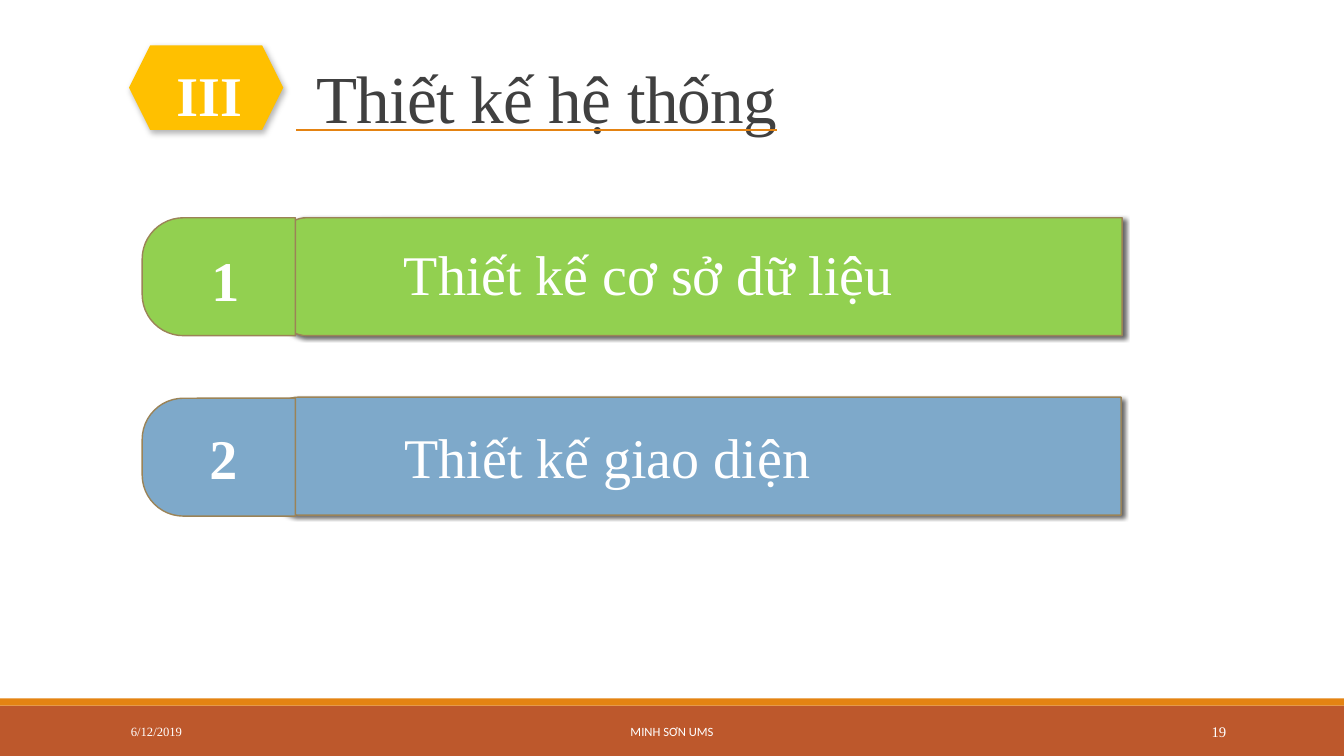
"""Build the section slide on system design with its two numbered topics."""
from dataclasses import dataclass

import pptx
import pptx.dml.color
import pptx.enum.shapes
import pptx.enum.text
import pptx.oxml
import pptx.oxml.ns
import pptx.presentation
import pptx.shapes.autoshape
import pptx.slide
import pptx.util

Inches = pptx.util.Inches
Pt = pptx.util.Pt
Shapes = pptx.enum.shapes.MSO_SHAPE
Align = pptx.enum.text.PP_ALIGN
Anchor = pptx.enum.text.MSO_ANCHOR

SERIF = "Times New Roman"
WHITE = "FFFFFF"
ORANGE = "E48312"
RUST = "BD582C"
GOLD = "FFC000"
OUTLINE = "9B8357"


@dataclass(frozen=True)
class Box:
    left: float
    top: float
    width: float
    height: float

    def lengths(self) -> list[pptx.util.Length]:
        return [Inches(v) for v in (self.left, self.top, self.width, self.height)]

    def turned(self) -> "Box":
        return Box(self.left + (self.width - self.height) / 2,
                   self.top + (self.height - self.width) / 2,
                   self.height, self.width)


@dataclass(frozen=True)
class Shadow:
    opacity: int
    blur: float
    distance: float
    angle: int


@dataclass(frozen=True)
class Label:
    text: str
    box: Box
    size: float = 40
    font: str = SERIF
    color: str = WHITE
    bold: bool = False
    align: Align = Align.CENTER
    anchor: Anchor = Anchor.MIDDLE
    grows: bool = False


@dataclass(frozen=True)
class Topic:
    color: str
    bar: Box
    tab: Box
    number: Label
    caption: Label


BAR_SHADOW = Shadow(60, 3, 2, 45)
BADGE_SHADOW = Shadow(30, 4.5, 2.6, 53)

TOPICS = [
    Topic("92D050", Box(2.77, 2.16, 8.36, 1.17), Box(1.41, 2.16, 1.52, 1.17),
          Label("1", Box(1.85, 2.38, 0.77, 0.77), bold=True, grows=True),
          Label("Thiết kế cơ sở dữ liệu", Box(2.54, 2.33, 7.78, 0.77),
                anchor=Anchor.TOP, grows=True)),
    Topic("7EA9CA", Box(2.69, 3.94, 8.43, 1.17), Box(1.41, 3.95, 1.52, 1.17),
          Label("2", Box(1.83, 4.15, 0.77, 0.77), bold=True, grows=True),
          Label("Thiết kế giao diện", Box(2.14, 4.14, 7.77, 0.77),
                anchor=Anchor.TOP, grows=True)),
]

FOOTER = [
    Label("6/12/2019", Box(1.2, 7.06, 2.7, 0.4), 9, align=Align.LEFT),
    Label("MINH SƠN UMS", Box(4.03, 7.06, 5.27, 0.4), 9, "Calibri"),
    Label("19", Box(10.83, 7.06, 1.43, 0.4), 10.5, align=Align.RIGHT),
]


def rgb(value: str) -> pptx.dml.color.RGBColor:
    return pptx.dml.color.RGBColor.from_string(value)


def add_shadow(shape: pptx.shapes.autoshape.Shape, shadow: Shadow) -> None:
    effects = shape.element.spPr.find(pptx.oxml.ns.qn("a:effectLst"))
    effects.append(pptx.oxml.parse_xml(
        f'<a:outerShdw {pptx.oxml.ns.nsdecls("a")} blurRad="{Pt(shadow.blur)}" '
        f'dist="{Pt(shadow.distance)}" dir="{shadow.angle * 60000}" '
        'algn="ctr" rotWithShape="0"><a:srgbClr val="000000">'
        f'<a:alpha val="{shadow.opacity * 1000}"/></a:srgbClr></a:outerShdw>'))


def add_block(slide: pptx.slide.Slide, kind: Shapes, box: Box, color: str,
              outline: str | None = None,
              shadow: Shadow | None = None) -> pptx.shapes.autoshape.Shape:
    block = slide.shapes.add_shape(kind, *box.lengths())
    block.shadow.inherit = False
    block.fill.solid()
    block.fill.fore_color.rgb = rgb(color)
    if outline:
        block.line.color.rgb = rgb(outline)
        block.line.width = Pt(1)
    else:
        block.line.fill.background()
    if shadow:
        add_shadow(block, shadow)
    return block


def add_left_rounded(slide: pptx.slide.Slide, box: Box, color: str,
                     rounding: float, shadow: Shadow | None = None) -> None:
    block = add_block(slide, Shapes.ROUND_2_SAME_RECTANGLE, box.turned(),
                      color, OUTLINE, shadow)
    block.rotation = 270
    block.adjustments[0] = rounding
    block.adjustments[1] = 0


def add_label(slide: pptx.slide.Slide, label: Label) -> pptx.shapes.autoshape.Shape:
    holder = slide.shapes.add_textbox(*label.box.lengths())
    frame = holder.text_frame
    frame.word_wrap = True
    frame.vertical_anchor = label.anchor
    if label.grows:
        frame.auto_size = pptx.enum.text.MSO_AUTO_SIZE.SHAPE_TO_FIT_TEXT
    frame.text = label.text
    paragraph = frame.paragraphs[0]
    paragraph.alignment = label.align
    font = paragraph.runs[0].font
    font.name = label.font
    font.size = Pt(label.size)
    font.bold = label.bold
    font.color.rgb = rgb(label.color)
    return holder


def add_title(slide: pptx.slide.Slide) -> None:
    title = add_label(slide, Label("Thiết kế hệ thống", Box(1.26, 0.3, 11, 1.11), 48,
                                   color="404040", align=Align.LEFT,
                                   anchor=Anchor.BOTTOM))
    title.text_frame.margin_left = Inches(1.88)
    title.text_frame.paragraphs[0].line_spacing = 0.85
    title.element.xpath(".//a:rPr")[0].set("spc", "-50")


def add_underline(slide: pptx.slide.Slide) -> None:
    underline = slide.shapes.add_connector(
        pptx.enum.shapes.MSO_CONNECTOR.STRAIGHT,
        Inches(2.94), Inches(1.29), Inches(7.71), Inches(1.29))
    underline.line.color.rgb = rgb(ORANGE)
    underline.line.width = Pt(1.5)
    underline.element.spPr.append(
        pptx.oxml.parse_xml(f'<a:effectLst {pptx.oxml.ns.nsdecls("a")}/>'))


def main() -> None:
    deck = pptx.Presentation()
    deck.slide_width = Inches(13.33)
    deck.slide_height = Inches(7.5)
    slide = deck.slides.add_slide(deck.slide_layouts[6])

    add_block(slide, Shapes.RECTANGLE, Box(0, 7, 13.33, 0.5), RUST)
    add_block(slide, Shapes.RECTANGLE, Box(0, 6.93, 13.33, 0.07), ORANGE)
    add_title(slide)
    for label in FOOTER:
        add_label(slide, label)

    add_block(slide, Shapes.HEXAGON, Box(1.28, 0.45, 1.53, 0.84), GOLD,
              shadow=BADGE_SHADOW)
    add_label(slide, Label("III", Box(1.51, 0.55, 1.13, 0.77), bold=True, grows=True))

    for topic in TOPICS:
        add_left_rounded(slide, topic.bar, topic.color, 0.23, BAR_SHADOW)
        add_left_rounded(slide, topic.tab, topic.color, 0.35)
        add_label(slide, topic.number)
        add_label(slide, topic.caption)

    add_underline(slide)
    deck.save("out.pptx")


if __name__ == "__main__":
    main()
